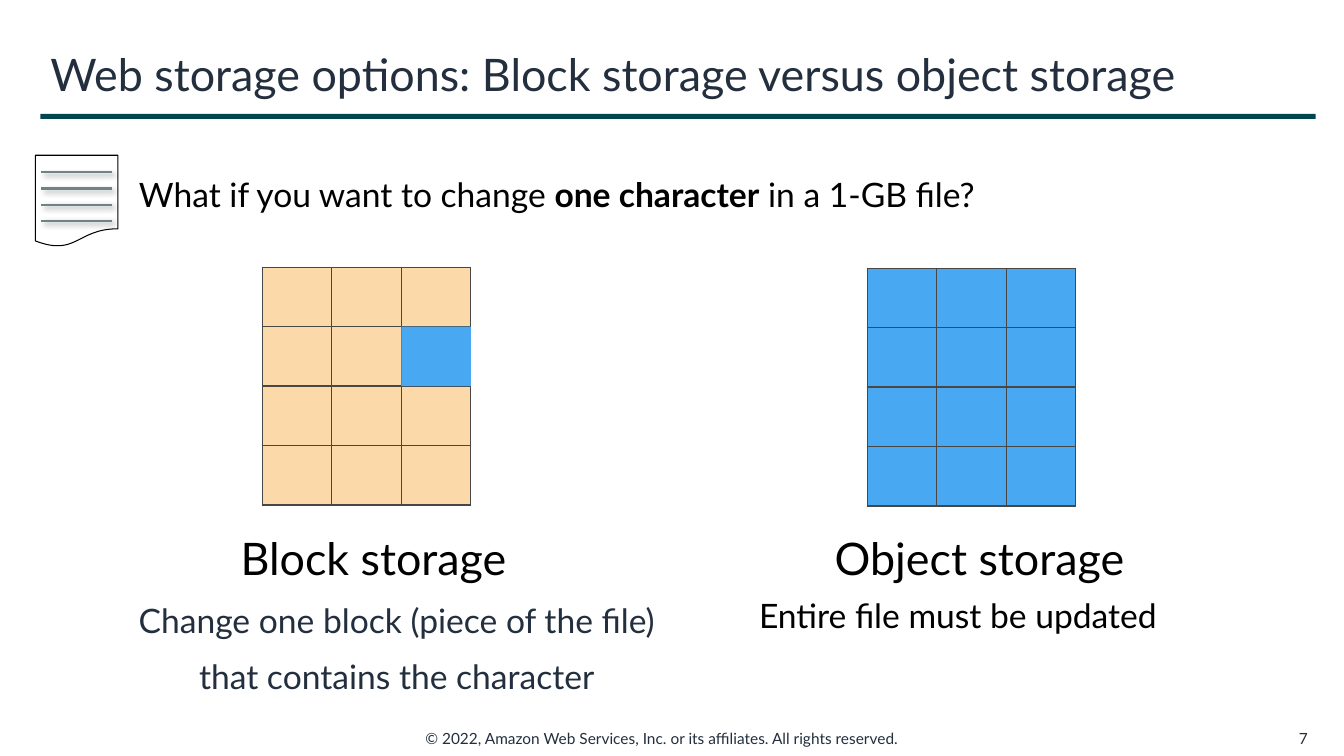
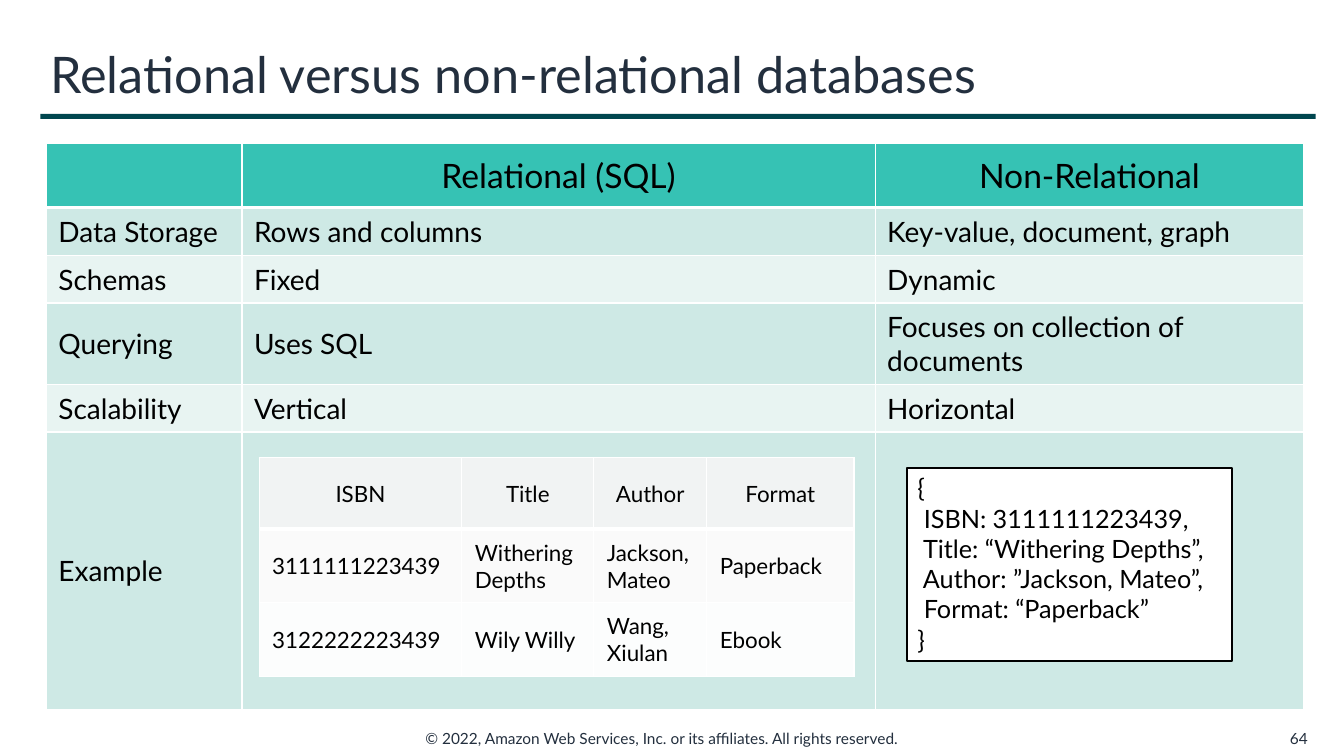
from lxml import etree
from pptx import Presentation
from pptx.dml.color import RGBColor
from pptx.enum.shapes import MSO_CONNECTOR, MSO_SHAPE
from pptx.enum.text import MSO_ANCHOR, PP_ALIGN
from pptx.oxml import parse_xml
from pptx.oxml.ns import nsdecls, qn
from pptx.util import Inches, Pt

LEFT, CENTER, RIGHT = PP_ALIGN.LEFT, PP_ALIGN.CENTER, PP_ALIGN.RIGHT
TOP, MIDDLE = MSO_ANCHOR.TOP, MSO_ANCHOR.MIDDLE
RECTANGLE, DOCUMENT = MSO_SHAPE.RECTANGLE, MSO_SHAPE.FLOWCHART_DOCUMENT
STRAIGHT = MSO_CONNECTOR.STRAIGHT

FONT = "Lato"
COLORS = {
    "ink": "232F3E", "black": "000000", "white": "FFFFFF", "rule": "00464F",
    "paper_line": "708282", "block_border": "474746",
    "block": "FCD9A9", "changed": "49A8F2",
    "header": "36C2B4", "band_dark": "CEE9E5", "band_light": "E8F4F2",
    "book_header": "F1F3F3", "book_dark": "FAFAFA", "book_light": "FCFDFD",
}
RGB = {name: RGBColor.from_string(value) for name, value in COLORS.items()}


def write_text(frame, text, size=24, color="black", align=LEFT, anchor=TOP,
               wrap=True, inset=(0.1, 0.05), before=0, after=0, line=None):
    """Fill a frame; newlines split paragraphs and ** switches bold."""
    frame.word_wrap = wrap
    frame.vertical_anchor = anchor
    frame.margin_left = frame.margin_right = Inches(inset[0])
    frame.margin_top = frame.margin_bottom = Inches(inset[1])
    for index, words in enumerate(text.split("\n")):
        para = frame.add_paragraph() if index else frame.paragraphs[0]
        para.alignment = align
        para.space_before = Pt(before if index else 0)
        para.space_after = Pt(after)
        if line:
            para.line_spacing = line
        for part, piece in enumerate(words.split("**")):
            span = para.add_run()
            span.text = piece
            span.font.name = FONT
            span.font.size = Pt(size)
            span.font.bold = part % 2 == 1
            span.font.color.rgb = RGB[color]


def add_grid(page, left, top, widths, heights, fills, border,
             texts=None, sizes=(20, 20), inset=(0.12, 0.07)):
    """Add a table with one fill per row; a text table gets a header row."""
    table = page.shapes.add_table(
        len(heights), len(widths), Inches(left), Inches(top),
        Inches(sum(widths)), Inches(sum(heights))).table
    table.first_row = table.horz_banding = False
    for column, width in zip(table.columns, widths):
        column.width = Inches(width)
    for number, (row, height) in enumerate(zip(table.rows, heights)):
        row.height = Inches(height)
        for place, cell in enumerate(row.cells):
            properties = cell._tc.get_or_add_tcPr()
            for side in "LRTB":
                thick = texts and (number, side) in ((0, "B"), (1, "T"))
                properties.append(parse_xml(
                    f'<a:ln{side} {nsdecls("a")} w="{Pt(3 if thick else 1)}">'
                    f'<a:solidFill><a:srgbClr val="{COLORS[border]}"/>'
                    f'</a:solidFill></a:ln{side}>'))
            cell.fill.solid()
            cell.fill.fore_color.rgb = RGB[fills[number]]
            if texts and texts[number][place]:
                write_text(cell.text_frame, texts[number][place],
                           size=sizes[min(number, 1)],
                           align=LEFT if number else CENTER)
                cell.vertical_anchor = MIDDLE
                cell.margin_left = cell.margin_right = Inches(inset[0])
                cell.margin_top = cell.margin_bottom = Inches(inset[1])


deck = Presentation()
deck.slide_width, deck.slide_height = Inches(13.33), Inches(7.5)

pages = []
for title, title_size, number in (
    ("Web storage options: Block storage versus object storage", 32, "7"),
    ("Relational versus non-relational databases", 36, "64"),
):
    page = deck.slides.add_slide(deck.slide_layouts[6])
    pages.append(page)
    footer = page.shapes.add_textbox(
        Inches(4.12), Inches(7.18), Inches(5.09), Inches(0.29))
    write_text(footer.text_frame,
               "© 2022, Amazon Web Services, Inc. or its affiliates. "
               "All rights reserved.", size=11, color="ink", wrap=False)
    rule = page.shapes.add_shape(
        RECTANGLE, Inches(0.4), Inches(1.13), Inches(12.65), Inches(0.05))
    rule.shadow.inherit = False
    rule.fill.solid()
    rule.fill.fore_color.rgb = RGB["rule"]
    rule.line.fill.background()
    number_box = page.shapes.add_textbox(
        Inches(12.54), Inches(7.18), Inches(0.53), Inches(0.29))
    write_text(number_box.text_frame, number, size=11, color="ink",
               align=RIGHT, anchor=MIDDLE)
    title_box = page.shapes.add_textbox(
        Inches(0.4), Inches(0.33), Inches(12.65), Inches(0.8))
    write_text(title_box.text_frame, title, size=title_size, color="ink",
               anchor=MIDDLE)
storage_page, database_page = pages

question = storage_page.shapes.add_group_shape()
sheet = question.shapes.add_shape(
    DOCUMENT, Inches(0.35), Inches(1.54), Inches(0.82), Inches(0.91))
sheet.shadow.inherit = False
sheet.fill.solid()
sheet.fill.fore_color.rgb = RGB["white"]
sheet.line.color.rgb = RGB["black"]
sheet.line.width = Pt(0.75)
for step in range(4):
    height = Inches(1.71 + step * 0.16)
    stroke = question.shapes.add_connector(
        STRAIGHT, Inches(0.41), height, Inches(1.11), height)
    stroke.line.color.rgb = RGB["paper_line"]
    stroke.line.width = Pt(1.5)
    effects = etree.SubElement(stroke._element.spPr, qn("a:effectLst"))
    shadow = etree.SubElement(
        effects, qn("a:outerShdw"), blurRad=str(Pt(4)), dist=str(Pt(3)),
        dir=str(45 * 60000), rotWithShape="0")
    tint = etree.SubElement(shadow, qn("a:srgbClr"), val=COLORS["black"])
    etree.SubElement(tint, qn("a:alpha"), val="40000")
question_box = question.shapes.add_textbox(
    Inches(1.28), Inches(1.68), Inches(10.07), Inches(0.5))
write_text(question_box.text_frame,
           "What if you want to change **one character** in a 1-GB file?")

block_width, block_height = 0.69, 0.59
for left, top, fill in ((2.6, 2.65, "block"), (8.6, 2.66, "changed")):
    add_grid(storage_page, left, top, [block_width] * 3, [block_height] * 4,
             [fill] * 4, "block_border")
changed_block = storage_page.shapes.add_shape(
    RECTANGLE, Inches(2.6 + 2 * block_width), Inches(2.65 + block_height),
    Inches(block_width), Inches(block_height))
changed_block.shadow.inherit = False
changed_block.fill.solid()
changed_block.fill.fore_color.rgb = RGB["changed"]
changed_block.line.fill.background()

heading = {"size": 32, "inset": (0.13, 0.07)}
for left, top, width, height, text, style in (
    (1.54, 5.19, 4.33, 0.68, "Block storage", heading),
    (7.97, 5.19, 3.49, 0.51, "Object storage", heading),
    (0.4, 5.9, 7.07, 1.08,
     "Change one block (piece of the file)\nthat contains the character",
     {"color": "ink", "before": 5, "after": 6}),
    (7.14, 5.9, 4.72, 0.41, "Entire file must be updated", {"line": 0.9}),
):
    box = storage_page.shapes.add_textbox(
        Inches(left), Inches(top), Inches(width), Inches(height))
    write_text(box.text_frame, text, align=CENTER, **style)

add_grid(
    database_page, 0.46, 1.42, [1.94, 6.28, 4.25],
    [0.64, 0.47, 0.47, 0.8, 0.47, 2.75],
    ["header"] + ["band_dark", "band_light"] * 2 + ["band_dark"], "white",
    texts=[
        ["", "Relational (SQL)", "Non-Relational"],
        ["Data Storage", "Rows and columns", "Key-value, document, graph"],
        ["Schemas", "Fixed", "Dynamic"],
        ["Querying", "Uses SQL", "Focuses on collection of documents"],
        ["Scalability", "Vertical", "Horizontal"],
        ["Example", "", ""],
    ], sizes=(24, 20))
add_grid(
    database_page, 2.57, 4.54, [2.01, 1.31, 1.12, 1.46], [0.71, 0.73, 0.73],
    ["book_header", "book_dark", "book_light"], "white",
    texts=[
        ["ISBN", "Title", "Author", "Format"],
        ["3111111223439", "Withering Depths", "Jackson, Mateo", "Paperback"],
        ["3122222223439", "Wily Willy", "Wang, Xiulan", "Ebook"],
    ], sizes=(16, 16), inset=(0.13, 0.07))

document_box = database_page.shapes.add_shape(
    RECTANGLE, Inches(9), Inches(4.64), Inches(3.22), Inches(1.92))
document_box.shadow.inherit = False
document_box.fill.solid()
document_box.fill.fore_color.rgb = RGB["white"]
document_box.line.color.rgb = RGB["black"]
document_box.line.width = Pt(1.5)
write_text(document_box.text_frame, """{
 ISBN: 3111111223439,
 Title: “Withering Depths”,
 Author: ”Jackson, Mateo”,
 Format: “Paperback”
}""", size=18)

deck.save("out.pptx")
